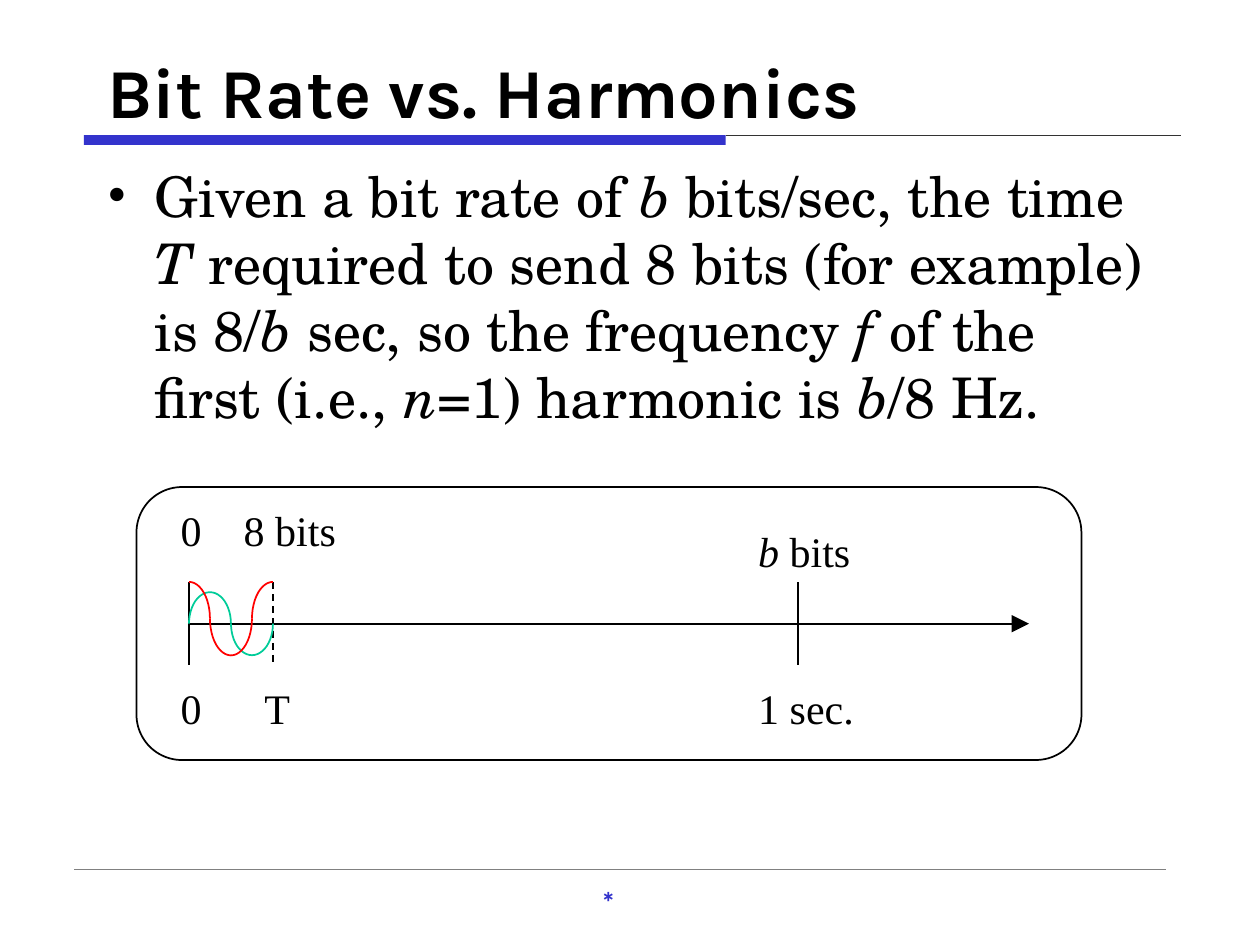
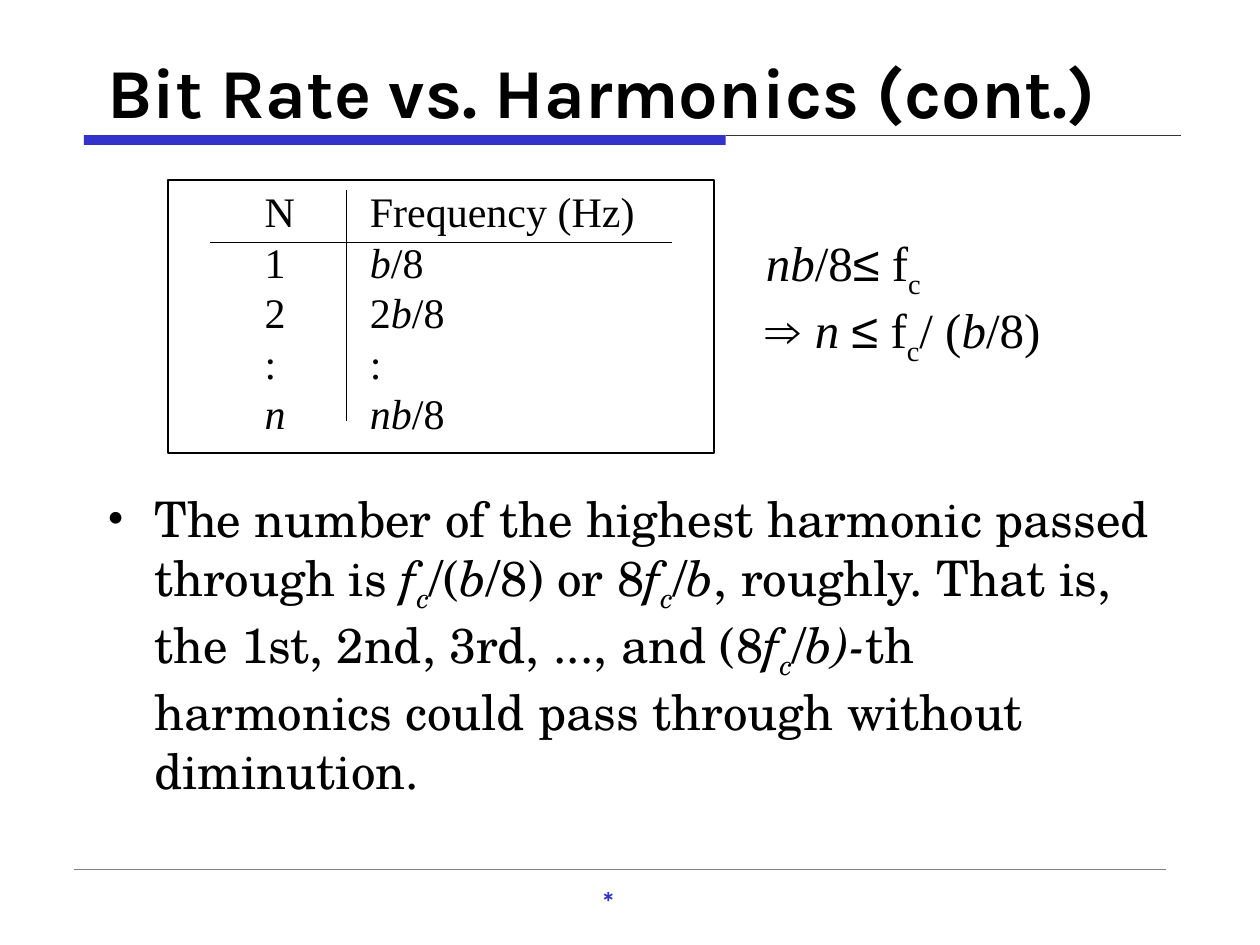
from dataclasses import dataclass
from math import cos, pi, sin

from lxml.etree import SubElement
from pptx import Presentation
from pptx.dml.color import RGBColor as RGB
from pptx.enum.dml import MSO_LINE as DASH
from pptx.enum.shapes import MSO_CONNECTOR as CONN, MSO_SHAPE as SHAPE
from pptx.enum.text import MSO_ANCHOR as ANCHOR
from pptx.oxml.ns import qn
from pptx.util import Pt


@dataclass(frozen=True)
class Theme:
    ink: RGB = RGB(0, 0, 0)
    paper: RGB = RGB(255, 255, 255)
    accent: RGB = RGB(0x33, 0x33, 0xCC)
    title_rule: RGB = RGB(0x33, 0x33, 0x33)
    footer_rule: RGB = RGB(0x80, 0x80, 0x80)
    sine: RGB = RGB(0, 0xCC, 0x99)
    cosine: RGB = RGB(255, 0, 0)
    title_font: str = "Karla"
    body_font: str = "TeX Gyre Schola"
    footer_font: str = "TeX Gyre Adventor"
    label_font: str = "Times New Roman"
    symbol_font: str = "Arial"
    title_size: int = 40
    body_size: int = 32
    small_body_size: int = 28
    label_size: int = 24
    footer_size: int = 14


T = Theme()
TITLE = {"name": T.title_font, "size": Pt(T.title_size), "bold": True}
BODY = {"name": T.body_font, "size": Pt(T.body_size)}
SMALL_BODY = {**BODY, "size": Pt(T.small_body_size)}
LABEL = {"name": T.label_font, "size": Pt(T.label_size)}
EQUATION = {**LABEL, "size": Pt(T.small_body_size)}
FOOTER = {"name": T.footer_font, "size": Pt(T.footer_size)}
ITALIC = {"italic": True}
SYMBOL = {"name": T.symbol_font}
SUB = {"baseline": -25000}
F_C = [("f", ITALIC), ("c", {**ITALIC, **SUB})]
B = ("b", ITALIC)


def add_runs(p, runs, base, color=T.ink):
    """Fill a paragraph from plain strings and (text, format) pairs."""
    for run in [runs] if isinstance(runs, str) else runs:
        text, extra = (run, {}) if isinstance(run, str) else run
        r = p.add_run()
        r.text = text
        r.font.color.rgb = color
        for key, value in {**base, **extra}.items():
            if key == "baseline":
                r.font._element.set(key, str(value))
            else:
                setattr(r.font, key, value)


def add_text(s, box, paragraphs, base, color=T.ink, wrap=True, anchor=ANCHOR.TOP):
    """Add a text box with one list of runs per paragraph."""
    tf = s.shapes.add_textbox(*map(Pt, box)).text_frame
    tf.word_wrap = wrap
    tf.vertical_anchor = anchor
    for n, runs in enumerate(paragraphs):
        add_runs(tf.paragraphs[0] if n == 0 else tf.add_paragraph(), runs, base, color)
    return tf


def add_bullet(s, box, runs, base):
    """Add a text box holding one bulleted paragraph."""
    tf = add_text(s, box, [runs], base)
    pPr = tf.paragraphs[0]._p.get_or_add_pPr()
    pPr.set("marL", str(Pt(27)))
    pPr.set("indent", str(-Pt(27)))
    clr = SubElement(pPr, qn("a:buClr"))
    SubElement(clr, qn("a:srgbClr")).set("val", str(T.ink))
    SubElement(pPr, qn("a:buFont")).set("typeface", T.label_font)
    SubElement(pPr, qn("a:buChar")).set("char", "•")


def add_line(s, x1, y1, x2, y2, color=T.ink, width=1, dash=None, arrow=False):
    """Add a straight line, optionally dashed or with an arrowhead."""
    c = s.shapes.add_connector(CONN.STRAIGHT, *map(Pt, (x1, y1, x2, y2)))
    c.line.color.rgb = color
    c.line.width = Pt(width)
    if dash:
        c.line.dash_style = dash
    if arrow:
        head = SubElement(c.line._get_or_add_ln(), qn("a:tailEnd"))
        for key, value in {"type": "triangle", "w": "lg", "len": "lg"}.items():
            head.set(key, value)
    SubElement(c._element.spPr, qn("a:effectLst"))


def add_box(s, kind, box, fill=T.paper, line=T.ink):
    """Add a filled preset shape, outlined unless line is None."""
    sp = s.shapes.add_shape(kind, *map(Pt, box))
    sp.shadow.inherit = False
    sp.fill.solid()
    sp.fill.fore_color.rgb = fill
    if line is None:
        sp.line.fill.background()
    else:
        sp.line.color.rgb = line
        sp.line.width = Pt(1)


def add_curve(s, points, color):
    """Draw an open line through points."""
    fb = s.shapes.build_freeform(*points[0])
    fb.add_line_segments(points[1:], close=False)
    sp = fb.convert_to_shape()
    sp.shadow.inherit = False
    sp.fill.background()
    sp.line.color.rgb = color
    sp.line.width = Pt(1)


def add_wave(s, x, mid, period, height, color, start=0, steps=12):
    """Draw one period as four elliptic quarters, from a given quarter on."""
    radius = period / 4

    def across(n):
        half, step = divmod(n, 2 * steps)
        return radius * (2 * half + 1 - cos(pi * step / steps / 2))

    shift = x - across(start * steps)
    for quarter in range(start, start + 4):
        first = quarter * steps
        add_curve(s, [(Pt(shift + across(n)), Pt(mid - height * sin(pi * n / steps / 2)))
                      for n in range(first, first + steps + 1)], color)


def add_plain_table(s, left, top, widths, margins, row_height, rows):
    """Add an unruled, unfilled table of formatted runs."""
    frame = s.shapes.add_table(len(rows), len(widths), Pt(left), Pt(top),
                               Pt(sum(widths)), Pt(row_height * len(rows)))
    table = frame.table
    table.first_row = table.horz_banding = False
    for column, width in zip(table.columns, widths):
        column.width = Pt(width)
    for n, row in enumerate(rows):
        for m, runs in enumerate(row):
            cell = table.cell(n, m)
            cell.fill.background()
            cell.margin_left = Pt(margins[m])
            cell.margin_top = cell.margin_bottom = cell.margin_right = 0
            add_runs(cell.text_frame.paragraphs[0], runs, LABEL)


def add_slide(prs, title):
    """Add a blank slide with the title, title band and footer."""
    s = prs.slides.add_slide(prs.slide_layouts[6])
    add_box(s, SHAPE.RECTANGLE, (48, 77.3, 366.7, 5.6), T.accent, None)
    add_line(s, 414.7, 77.3, 675, 77.3, T.title_rule, 0.5)
    add_line(s, 42.5, 496.6, 666.5, 496.6, T.footer_rule, 0.25)
    add_text(s, (337.6, 502.6, 62.6, 24.5), ["*"], FOOTER, T.accent)
    add_text(s, (54.2, 26, 612, 51), [title], TITLE, anchor=ANCHOR.MIDDLE)
    return s


def add_timeline(s):
    """Draw the time axis with its ticks, labels and first harmonic."""
    zero, period_end, second = 108, 156, 456
    axis, tick_top, tick_bottom = 356.4, 332.6, 380.2
    add_box(s, SHAPE.ROUNDED_RECTANGLE, (78, 278.3, 540, 156))
    add_line(s, zero, axis, 588, axis, arrow=True)
    for x, dash in (zero, None), (second, None), (period_end, DASH.DASH):
        add_line(s, x, tick_top, x, tick_bottom, dash=dash)
    for x, y, width, runs in (
        (96.1, 284.8, 26, "0"),
        (132.2, 284.8, 67, "8 bits"),
        (426.2, 296.6, 67, [B, " bits"]),
        (96.1, 386.6, 26, "0"),
        (144, 386.6, 29, "T"),
        (426.2, 386.6, 69, "1 sec."),
    ):
        add_text(s, (x, y, width, 36), [runs], LABEL, wrap=False)
    period = period_end - zero
    add_wave(s, zero, axis, period, 18, T.sine)
    add_wave(s, zero, 353.5, period, 21, T.cosine, start=1)


def add_frequency_table(s):
    """Draw the framed table of harmonic numbers and frequencies."""
    add_box(s, SHAPE.RECTANGLE, (96, 102.8, 312, 156))
    add_plain_table(s, 144, 108.9, (54, 186), (7.2, 13.4), 28.8, [
        ("N", "Frequency (Hz)"),
        ("1", [B, "/8"]),
        ("2", ["2", B, "/8"]),
        (":", ":"),
        ([("n", ITALIC)], [("nb", ITALIC), "/8"]),
    ])
    add_line(s, 120, 138.6, 384, 138.6)
    add_line(s, 198, 108.7, 198, 240.5)


def main():
    """Build both slides and save them."""
    prs = Presentation()
    prs.slide_width, prs.slide_height = Pt(720), Pt(540)

    s = add_slide(prs, "Bit Rate vs. Harmonics")
    add_bullet(s, (54.2, 88.6, 612, 211.7), [
        "Given a bit rate of ", B, " bits/sec, the time ", ("T", ITALIC),
        " required to send 8 bits (for example) is 8/", B,
        " sec, so the frequency ", ("f", ITALIC), " of the first (i.e., ",
        ("n", ITALIC), "=1) harmonic is ", B, "/8 Hz.",
    ], BODY)
    add_timeline(s)

    s = add_slide(prs, "Bit Rate vs. Harmonics (cont.)")
    add_frequency_table(s)
    add_text(s, (430.6, 129.6, 199.4, 83.5), [
        [("nb", ITALIC), "/8", ("≤", SYMBOL), " f", ("c", SUB)],
        [("⇒ ", SYMBOL), ("n ", ITALIC), ("≤", SYMBOL), " f", ("c", SUB),
         "/ (", B, "/8)"],
    ], EQUATION)
    add_bullet(s, (54.2, 275.8, 612, 196.6), [
        "The number of the highest harmonic passed through is ", *F_C, "/(", B,
        "/8) or 8", *F_C, "/", B,
        ", roughly. That is, the 1st, 2nd, 3rd, ..., and (8", *F_C, "/",
        ("b)-", ITALIC), "th harmonics could pass through without diminution.",
    ], SMALL_BODY)
    prs.save("out.pptx")


if __name__ == "__main__":
    main()
